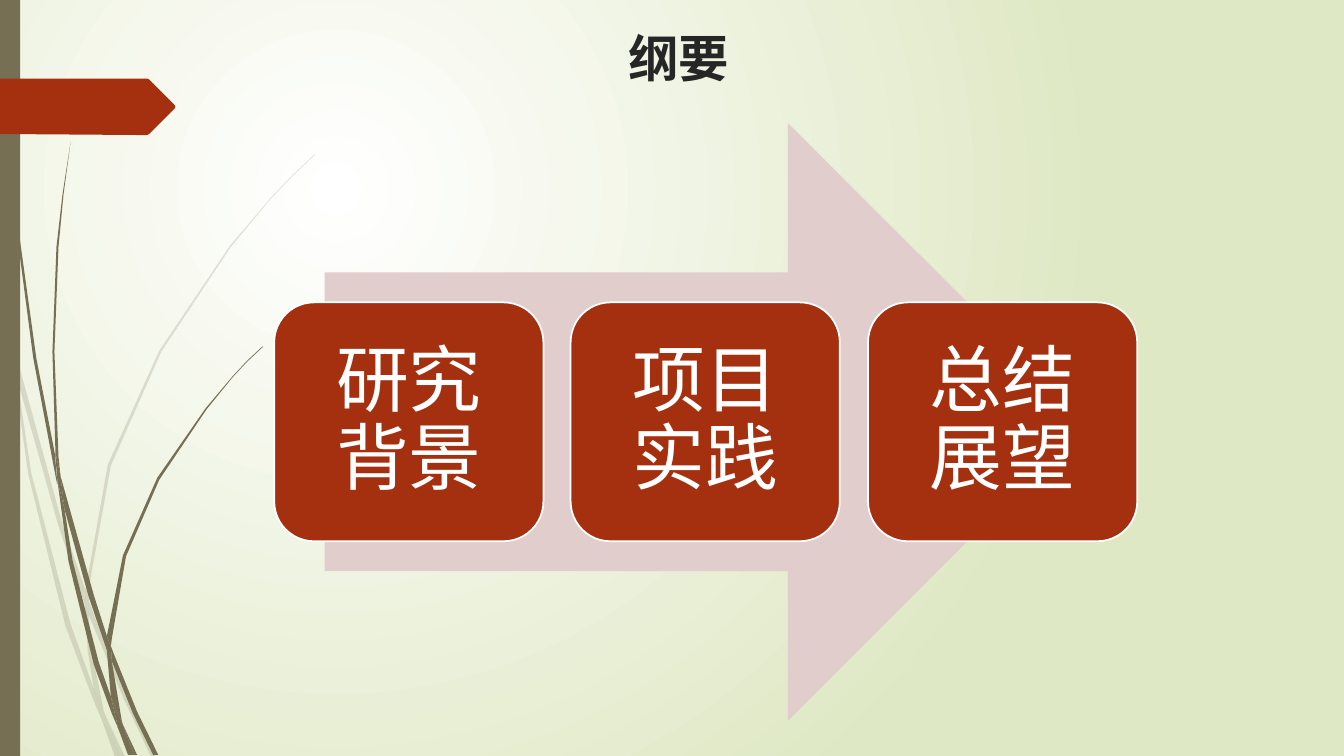
import pptx
import pptx.dml.color
import pptx.enum.shapes
import pptx.enum.text
import pptx.oxml
import pptx.oxml.ns
import pptx.util

# Style: the grid has 1333 columns and 750 rows of square cells
COLUMNS, ROWS = 1333, 750
CELL = pptx.util.Inches(0.01)
FONT = "TeX Gyre Adventor"
WHITE = pptx.dml.color.RGBColor(0xFF, 0xFF, 0xFF)
PALE_GREEN = pptx.dml.color.RGBColor(0xDF, 0xE8, 0xC4)
OLIVE = pptx.dml.color.RGBColor(0x76, 0x6F, 0x54)
RUST = pptx.dml.color.RGBColor(0xA5, 0x30, 0x10)
ROSE = pptx.dml.color.RGBColor(0xE1, 0xCD, 0xCC)
INK = pptx.dml.color.RGBColor(0x26, 0x26, 0x26)
SHAPES = pptx.enum.shapes.MSO_SHAPE
ANCHOR = pptx.enum.text.MSO_ANCHOR

# Grass blades as outlines in (column, row)
FAINT_BLADES = [
    [(11, 350), (9, 322), (0, 282), (0, 299), (10, 344)],
    [(58, 522), (84, 599), (85, 586), (62, 520), (14, 345), (17, 376)],
    [(92, 607), (88, 596), (88, 610), (123, 694), (150, 751), (155, 751), (127, 692)],
    [(119, 751), (124, 751), (105, 711)],
    [(93, 683), (70, 619), (31, 469), (17, 376), (11, 350), (28, 470), (65, 621),
     (92, 693), (101, 714), (99, 707)],
    [(84, 599), (87, 646), (93, 683), (96, 692), (105, 711), (103, 706), (91, 646),
     (88, 610), (88, 608)],
    [(88, 584), (110, 462), (160, 349), (229, 245), (268, 198), (290, 175), (312, 154),
     (312, 153), (289, 175), (268, 197), (228, 244), (158, 348), (107, 461), (85, 584),
     (85, 586), (88, 596)],
    [(101, 714), (114, 751), (119, 751)],
    [(88, 608), (88, 610), (88, 596), (85, 586), (84, 599)],
    [(96, 692), (93, 683), (99, 707), (101, 714), (119, 751), (105, 711)],
]
SOLID_BLADES = [
    [(7, 110), (17, 233), (33, 355), (56, 477), (57, 481), (55, 457), (55, 453),
     (36, 355), (19, 232), (8, 109), (5, 48), (4, 0), (3, 0), (4, 48)],
    [(88, 592), (106, 645), (106, 633), (106, 631), (93, 590), (60, 472), (64, 505)],
    [(113, 649), (110, 641), (111, 656), (132, 708), (152, 749), (157, 749), (136, 706)],
    [(110, 691), (98, 657), (72, 556), (64, 505), (57, 477), (68, 557), (93, 659),
     (111, 708), (117, 722), (116, 717)],
    [(60, 472), (58, 453), (54, 349), (58, 245), (63, 193), (70, 141), (62, 193),
     (56, 245), (52, 349), (55, 449)],
    [(133, 749), (136, 749), (122, 719)],
    [(57, 477), (64, 505), (60, 472), (55, 449), (55, 453)],
    [(111, 633), (125, 552), (158, 476), (205, 406), (231, 374), (245, 359), (261, 344),
     (260, 344), (245, 358), (231, 373), (204, 405), (156, 474), (122, 551), (106, 631),
     (110, 641)],
    [(117, 722), (127, 749), (131, 749)],
    [(106, 645), (110, 691), (116, 706), (122, 719), (121, 716), (111, 656), (109, 651)],
    [(106, 645), (109, 651), (111, 656), (110, 641), (106, 631), (106, 633)],
    [(116, 706), (110, 691), (116, 717), (117, 722), (130, 749), (133, 749), (122, 719)],
]
TAG = [(173, 108), (148, 133), (146, 134), (136, 134), (0, 133), (0, 78),
       (146, 78), (148, 79), (173, 104), (174, 106)]


class SlideBuilder:
    """Draws styled elements on one blank slide."""

    def __init__(self, presentation):
        self.slide = presentation.slides.add_slide(presentation.slide_layouts[6])

    def background(self, inner, outer):
        fill = self.slide.background.fill
        fill.gradient()
        for stop, color, position in zip(fill.gradient_stops, (inner, outer), (0, 1)):
            stop.color.rgb = color
            stop.position = position
        gradient = self.slide.element.find(".//" + pptx.oxml.ns.qn("a:gradFill"))
        gradient.remove(gradient.find(pptx.oxml.ns.qn("a:lin")))
        gradient.append(pptx.oxml.parse_xml(
            f'<a:path {pptx.oxml.ns.nsdecls("a")} path="circle">'
            '<a:fillToRect l="50000" t="50000" r="100000" b="100000"/></a:path>'))

    def paint(self, shape, color, opacity=100):
        shape.shadow.inherit = False
        shape.fill.solid()
        shape.fill.fore_color.rgb = color
        shape.line.fill.background()
        if opacity < 100:
            value = shape.element.spPr.find(".//" + pptx.oxml.ns.qn("a:srgbClr"))
            value.append(pptx.oxml.parse_xml(
                f'<a:alpha {pptx.oxml.ns.nsdecls("a")} val="{opacity * 1000}"/>'))
        return shape

    def outline(self, points, color, opacity=100):
        builder = self.slide.shapes.build_freeform(*points[0], scale=CELL)
        builder.add_line_segments(points[1:], close=True)
        return self.paint(builder.convert_to_shape(), color, opacity)

    def preset(self, kind, column, row, columns, rows, color):
        shape = self.slide.shapes.add_shape(
            kind, *(CELL * cells for cells in (column, row, columns, rows)))
        return self.paint(shape, color)

    def add_text(self, shape, text, size, color, bold=False, anchor=ANCHOR.TOP):
        frame = shape.text_frame
        frame.word_wrap = True
        frame.vertical_anchor = anchor
        paragraph = frame.paragraphs[0]
        paragraph.alignment = pptx.enum.text.PP_ALIGN.CENTER
        run = paragraph.add_run()
        run.text = text
        run.font.name = FONT
        run.font.size = pptx.util.Pt(size)
        run.font.bold = bold
        run.font.color.rgb = color
        return paragraph

    def title(self, text, column, row, columns, rows):
        box = self.slide.shapes.add_textbox(
            *(CELL * cells for cells in (column, row, columns, rows)))
        self.add_text(box, text, 36, INK, bold=True)

    def card(self, text, column, row, columns, rows):
        shape = self.preset(SHAPES.ROUNDED_RECTANGLE, column, row, columns, rows, RUST)
        shape.line.color.rgb = WHITE
        shape.line.width = pptx.util.Pt(1.25)
        frame = shape.text_frame
        frame.margin_left = frame.margin_right = CELL * 22
        frame.margin_top = frame.margin_bottom = CELL * 22
        paragraph = self.add_text(shape, text, 52, WHITE, anchor=ANCHOR.MIDDLE)
        paragraph.line_spacing = 0.9


def main():
    presentation = pptx.Presentation()
    presentation.slide_width = CELL * COLUMNS
    presentation.slide_height = CELL * ROWS
    builder = SlideBuilder(presentation)

    # Backdrop: gradient, grass, side bar and tag
    builder.background(WHITE, PALE_GREEN)
    for blades, opacity in ((FAINT_BLADES, 20), (SOLID_BLADES, 100)):
        for blade in blades:
            builder.outline(blade, OLIVE, opacity)
    builder.preset(SHAPES.RECTANGLE, 0, 0, 20, ROWS, OLIVE)
    builder.outline(TAG, RUST)

    # Title
    builder.title("纲要", 98, 22, 1150, 145)

    # Arrow with the three stages
    builder.preset(SHAPES.RIGHT_ARROW, 322, 122, 756, 593, ROSE)
    for index, stage in enumerate(("研究背景", "项目实践", "总结展望")):
        builder.card(stage, 272 + index * 589 // 2, 300, 267, 237)

    presentation.save("out.pptx")


if __name__ == "__main__":
    main()
